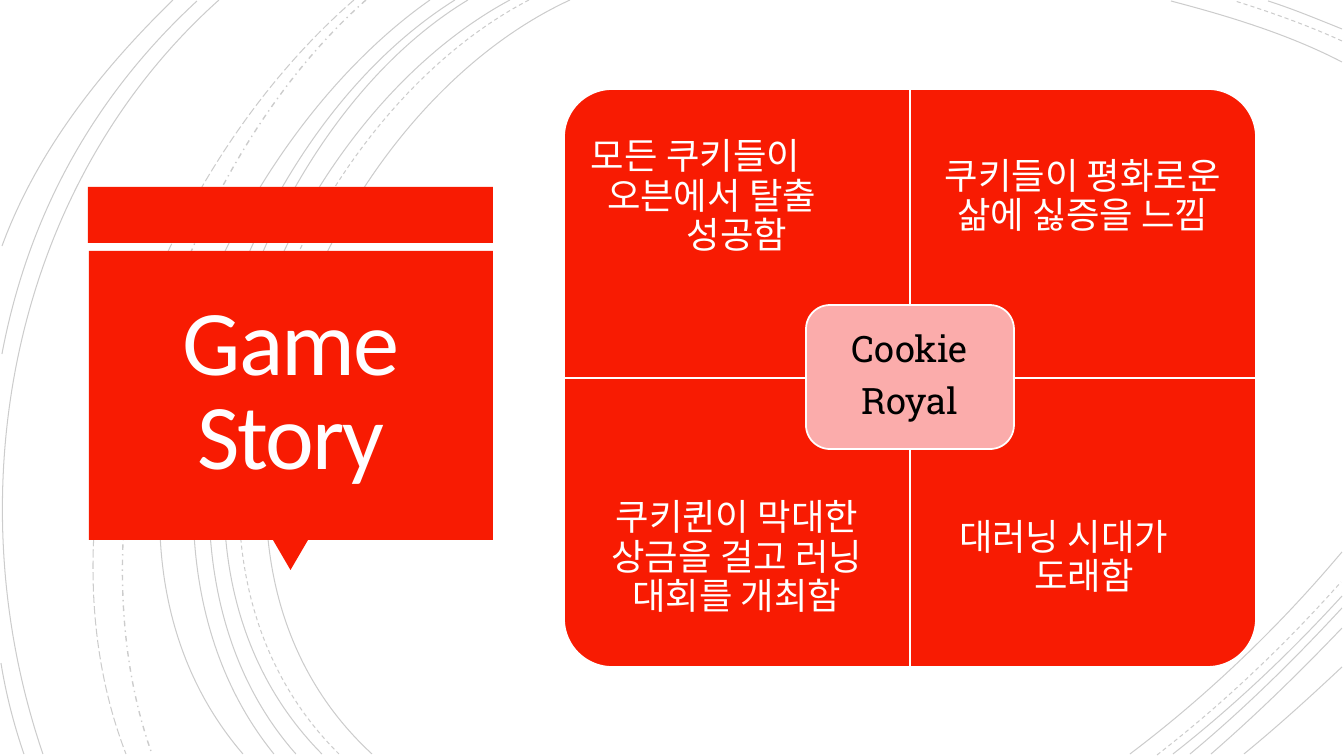
from lxml import etree
from pptx import Presentation
from pptx import util as u
from pptx.dml.color import RGBColor
from pptx.enum import dml, shapes, text
from pptx.oxml import ns

PX = u.Inches(7.5) / 756
HUES = {"red": "F81B02", "pink": "FBACAB", "white": "FFFFFF",
        "title": "FFFEFF", "black": "000000"}
FORM = shapes.MSO_SHAPE
DASH = dml.MSO_LINE
ARCS = [
    (570, 0, 318, 116, 144, 544, 372, 754),
    (1342, 62, 1288, 34, 1228, 16, 1171, 1),
    (1130, 754, 1207, 696, 1279, 627, 1342, 552),
    (510, 0, 272, 128, 111, 541, 322, 754),
    (1342, 29, 1317, 19, 1293, 9, 1268, 1),
    (1173, 754, 1233, 707, 1290, 653, 1342, 596),
    (468, 0, 246, 134, 111, 545, 296, 754),
    (1190, 754, 1243, 710, 1294, 660, 1342, 608),
    (455, 0, 233, 139, 98, 537, 274, 754),
    (1211, 754, 1256, 715, 1300, 672, 1342, 628),
    (430, 0, 219, 148, 53, 533, 243, 754),
    (1244, 754, 1277, 727, 1309, 698, 1342, 667),
    (219, 0, 11, 186, -46, 494, 43, 754),
    (197, 1, 93, 97, 28, 216, 2, 354),
    (1, 663, 6, 694, 14, 725, 24, 754),
    (173, 0, 101, 70, 37, 151, 2, 246),
]
DASHED = [
    (529, 0, 287, 126, 124, 541, 339, 754),
    (1342, 41, 1307, 25, 1270, 12, 1235, 1),
    (1157, 755, 1223, 704, 1285, 645, 1341, 582),
]
DOTTED = [(366, 0, 177, 167, 66, 513, 152, 754)]
LONG = [(354, 0, 158, 170, 29, 503, 126, 754)]
LEFT, TOP, WIDE, HIGH, DEEP = 564, 89, 346, 289, 217
STORY = [
    (0, 0, 270, [("모든 쿠키들이", 7), ("오븐에서 탈출", 23), ("성공함", 103)]),
    (1, 0, 0, [("쿠키들이 평화로운 삶에 싫증을 느낌", None)]),
    (0, 1, 180, [("쿠키퀸이 막대한 상금을 걸고 러닝 대회를 개최함", None)]),
    (1, 1, 90, [("대러닝 시대가", 29), ("도래함", 104)]),
]


def px(num):
    """Turn pixels into EMU."""
    return u.Emu(round(num * PX))


def hue(name):
    """Look up a colour by name."""
    return RGBColor.from_string(HUES[name])


def add_arc(slide, arc, dash, width):
    """Draw one faint cubic background curve."""
    dots = list(zip(arc[::2], arc[1::2]))
    pen = slide.shapes.build_freeform(*dots[0], scale=PX)
    pen.add_line_segments(dots[1:], close=False)
    curve = pen.convert_to_shape()
    route = curve._element.find(".//" + ns.qn("a:path"))
    bend = etree.SubElement(route, ns.qn("a:cubicBezTo"))
    for leg in route.findall(ns.qn("a:lnTo")):
        bend.append(leg[0])
        route.remove(leg)
    curve.shadow.inherit = False
    curve.fill.background()
    curve.line.width = u.Pt(width)
    curve.line.color.rgb = hue("black")
    curve.line.dash_style = dash
    tint = curve.line._ln.find(".//" + ns.qn("a:srgbClr"))
    etree.SubElement(tint, ns.qn("a:alpha"), val="20000")


def add_form(slide, kind, box, fill, edge=None, turn=0):
    """Draw a filled shape that covers box once it is turned."""
    x, y, w, h = box
    if turn % 180:
        x, y, w, h = x + (w - h) / 2, y + (h - w) / 2, h, w
    form = slide.shapes.add_shape(kind, px(x), px(y), px(w), px(h))
    form.shadow.inherit = False
    form.rotation = turn
    form.fill.solid()
    form.fill.fore_color.rgb = hue(fill)
    if edge:
        form.line.color.rgb = hue(edge)
        form.line.width = u.Pt(1.25)
    else:
        form.line.fill.background()


def set_frame(frame, inset):
    """Wrap and centre a text frame with equal insets."""
    frame.word_wrap = True
    frame.auto_size = text.MSO_AUTO_SIZE.NONE
    frame.vertical_anchor = text.MSO_ANCHOR.MIDDLE
    frame.margin_left = frame.margin_right = px(inset)
    frame.margin_top = frame.margin_bottom = px(inset)


def set_para(para, words, face, size, tone, lead):
    """Fill and format one centred paragraph."""
    para.text = words
    para.alignment = text.PP_ALIGN.CENTER
    para.line_spacing = lead
    para.font.name = face
    para.font.size = u.Pt(size)
    para.font.color.rgb = hue(tone)


def add_text(slide, box, lines, tone, inset, gap=0):
    """Write lines, each centred or indented by its own step."""
    frame = slide.shapes.add_textbox(*map(px, box)).text_frame
    set_frame(frame, inset)
    for i, (words, step) in enumerate(lines):
        para = frame.add_paragraph() if i else frame.paragraphs[0]
        set_para(para, words, "Roboto Slab", 26, tone, 0.9)
        para.space_before = u.Pt(gap if i else 0)
        if step is not None:
            para.alignment = text.PP_ALIGN.LEFT
            para._p.get_or_add_pPr().set("marL", str(px(step)))


def set_title(slide):
    """Place the title on the red panel."""
    title = slide.shapes.title
    title.left, title.top, title.width, title.height = map(px, (98, 259, 386, 271))
    set_frame(title.text_frame, 25)
    para = title.text_frame.paragraphs[0]
    set_para(para, "Game\vStory", "Calibri", 66, "title", 0.85)
    para._p.pPr.get_or_add_defRPr().set("spc", "-150")
    slide.shapes._spTree.append(title._element)


def main():
    """Build the slide and save it."""
    deck = Presentation()
    deck.slide_width, deck.slide_height = px(1344), px(756)
    slide = deck.slides.add_slide(deck.slide_layouts[5])
    for arcs, dash, width in ((ARCS, DASH.SOLID, 0.75), (DASHED, DASH.DASH, 0.75),
                              (DOTTED, DASH.DASH_DOT, 1), (LONG, DASH.LONG_DASH, 0.75)):
        for arc in arcs:
            add_arc(slide, arc, dash, width)
    add_form(slide, FORM.RECTANGLE, (88, 187, 405, 56), "red")
    add_form(slide, FORM.ISOSCELES_TRIANGLE, (273, 540, 35, 30), "red", turn=180)
    add_form(slide, FORM.RECTANGLE, (89, 251, 404, 289), "red")
    for col, row, turn, lines in STORY:
        x, y = LEFT + col * WIDE, TOP + row * HIGH
        add_form(slide, FORM.ROUND_1_RECTANGLE, (x, y, WIDE, HIGH), "red", "white", turn)
        add_text(slide, (x, y + row * (HIGH - DEEP), WIDE, DEEP), lines, "white", 20)
    add_form(slide, FORM.ROUNDED_RECTANGLE, (806, 305, 208, 144), "pink", "white")
    add_text(slide, (813, 312, 194, 130), [("Cookie", None), ("Royal", None)],
             "black", 11, 9)
    set_title(slide)
    deck.save("out.pptx")


main()
